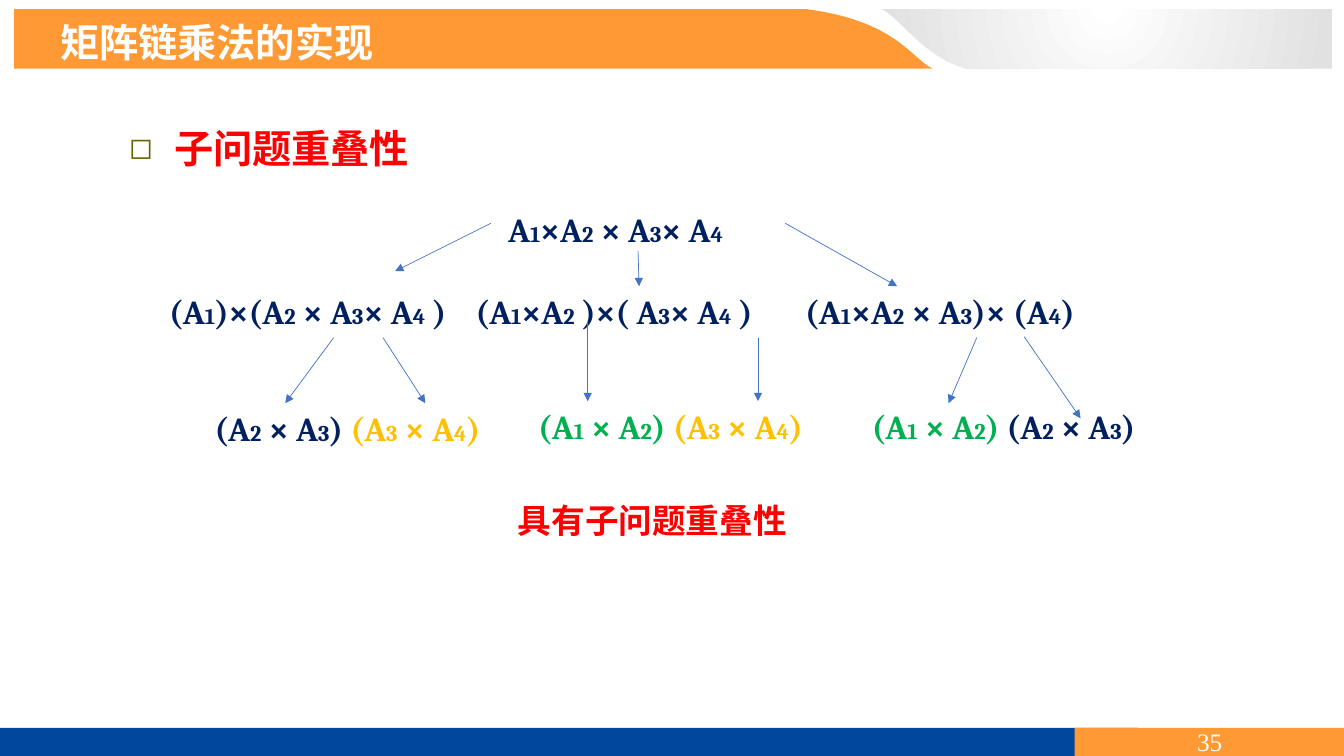
from itertools import groupby

from lxml import etree
from pptx import Presentation
from pptx.dml.color import RGBColor as RGB
from pptx.enum.shapes import MSO_CONNECTOR as LINK, MSO_SHAPE as SHAPE
from pptx.enum.text import MSO_ANCHOR as ANCHOR, PP_ALIGN as ALIGN
from pptx.oxml import parse_xml
from pptx.oxml.ns import nsdecls, qn
from pptx.util import Inches, Pt

HUE = {
    "orange": "FF9933", "blue": "00479D", "white": "FFFFFF", "gray": "E1E1E1",
    "navy": "002060", "red": "FF0000", "green": "00B050", "gold": "FFC000",
    "arrow": "4472C4", "olive": "666600",
}
HAN = "Noto Sans CJK SC"
CELL = Inches(0.1)  # the slide is a grid of 133.3 columns by 75 rows


def grid(*cells):
    return [round(n * CELL) for n in cells]


def write(shape, parts, size=24, small=None, font="Cambria", align=ALIGN.LEFT,
          bold=True, anchor=ANCHOR.TOP):
    """Fill shape with (text, hue) parts; digits take the small size, if given."""
    frame = shape.text_frame
    frame.word_wrap = True
    frame.vertical_anchor = anchor
    para = frame.paragraphs[0]
    para.alignment = align
    for words, hue in parts:
        for digit, chars in groupby(words, str.isdigit):
            run = para.add_run()
            run.text = "".join(chars)
            run.font.size = Pt(small if digit and small else size)
            run.font.bold = bold
            run.font.name = font
            run.font.color.rgb = RGB.from_string(HUE[hue])
            etree.SubElement(run.font._element, qn("a:ea"), typeface=font)
    return para


deck = Presentation()
deck.slide_width, deck.slide_height = grid(133.33, 75)
page = deck.slides.add_slide(deck.slide_layouts[6])
items = page.shapes

# Header bands: straight corners plus Bézier curves of four points
bands = [
    ("orange", [(1.4, 6.8), (1.4, 0.9)],
     [(80, 0.9), (88.9, 2.1), (90.3, 5.7), (92.5, 6.8)]),
    ("gray", [(132.2, 0.9), (132.2, 6.8)],
     [(95.9, 6.8), (91.8, 5.7), (89.6, 2.1), (87.5, 0.9)]),
]
STEPS = 32
for hue, ends, curve in bands:
    dots = [grid(*end) for end in ends]
    for step in range(STEPS + 1):
        t = step / STEPS
        mix = ((1 - t) ** 3, 3 * t * (1 - t) ** 2, 3 * t * t * (1 - t), t ** 3)
        dots.append(grid(*(sum(m * v for m, v in zip(mix, axis))
                           for axis in zip(*curve))))
    pen = items.build_freeform(*dots[0])
    pen.add_line_segments(dots[1:])
    band = pen.convert_to_shape()
    band.shadow.inherit = False
    band.line.fill.background()
    band.fill.solid()
    band.fill.fore_color.rgb = RGB.from_string(HUE[hue])

# The gray band glows from its top centre
glow = parse_xml(
    f'<a:gradFill {nsdecls("a")}><a:gsLst>'
    f'<a:gs pos="0"><a:srgbClr val="{HUE["white"]}"/></a:gs>'
    f'<a:gs pos="100000"><a:srgbClr val="{HUE["gray"]}"/></a:gs></a:gsLst>'
    '<a:path path="circle"><a:fillToRect l="50000" t="-80000" r="50000" b="180000"/>'
    '</a:path></a:gradFill>')
props = band._element.spPr
props.replace(props.find(qn("a:solidFill")), glow)

# Footer
for hue, left, width in [("blue", 0, 112.9), ("orange", 106.6, 26.8)]:
    bar = items.add_shape(SHAPE.RECTANGLE, *grid(left, 72.2, width, 2.8))
    bar.shadow.inherit = False
    bar.line.fill.background()
    bar.fill.solid()
    bar.fill.fore_color.rgb = RGB.from_string(HUE[hue])
write(bar, [("35", "white")], size=18, font="Times New Roman",
      align=ALIGN.CENTER, bold=False, anchor=ANCHOR.MIDDLE)

# Headings
title = items.add_textbox(*grid(5, 1.3, 68.4, 5.7))
write(title, [("矩阵链乘法的实现", "white")], size=28, font=HAN)

topic = items.add_textbox(*grid(11.8, 11.8, 77.2, 7.5))
para = write(topic, [("子问题重叠性", "red")], size=28, font=HAN)
rule = para._p.get_or_add_pPr()
dent = grid(4.5)[0]
rule.set("marL", str(dent))
rule.set("indent", str(-dent))
tint = etree.SubElement(rule, qn("a:buClr"))
etree.SubElement(tint, qn("a:srgbClr"), val=HUE["olive"])
etree.SubElement(rule, qn("a:buSzPct"), val="75000")
etree.SubElement(rule, qn("a:buFont"), typeface="DejaVu Sans")
etree.SubElement(rule, qn("a:buChar"), char="◻")

# Tree of products
root = items.add_textbox(*grid(48.7, 19.4, 29.2, 5.5))
root.text_frame.margin_left = grid(1.7)[0]
write(root, [("A1×A2 × A3× A4", "navy")], small=16).line_spacing = 1.2

splits = [
    (15.8, "(A1)×(A2 × A3× A4 )"),
    (46.2, "(A1×A2 )×( A3× A4 )"),
    (78.9, "(A1×A2 × A3)× (A4)"),
]
for left, words in splits:
    node = items.add_textbox(*grid(left, 28.4, 32, 5))
    write(node, [(words, "navy")], small=16)

pairs = {"A1 × A2": "green", "A2 × A3": "navy", "A3 × A4": "gold"}
leaves = [
    (20.3, 40, "A2 × A3", "A3 × A4"),
    (52.4, 39.8, "A1 × A2", "A3 × A4"),
    (85.5, 39.8, "A1 × A2", "A2 × A3"),
]
for left, top, one, two in leaves:
    leaf = items.add_textbox(*grid(left, top, 33.1, 5))
    write(leaf, [(f"({one}) ", pairs[one]), (f"({two})", pairs[two])], small=16)

# Arrows: start, end and the side of the root they leave from
arrows = [
    (48.7, 22.1, 39.2, 26.9, 1),
    (63.4, 24.9, 63.4, 28.4, 2),
    (78, 22.1, 89, 28.4, 3),
    (33.1, 33.5, 28.3, 40, None),
    (38, 33.5, 42.2, 40, None),
    (58.3, 31.9, 58.3, 39.8, None),
    (75.2, 33.5, 75.2, 39.8, None),
    (96.9, 33.5, 94.1, 40, None),
    (101.6, 33.4, 107.2, 41.5, None),
]
for *ends, side in arrows:
    link = items.add_connector(LINK.STRAIGHT, *grid(*ends))
    if side is not None:
        link.begin_connect(root, side)
    link.line.width = Pt(0.5)
    link.line.color.rgb = RGB.from_string(HUE["arrow"])
    props = link._element.spPr
    etree.SubElement(props.find(qn("a:ln")), qn("a:tailEnd"), type="triangle")
    etree.SubElement(props, qn("a:effectLst"))

result = items.add_textbox(*grid(50.4, 49.1, 33.1, 5))
write(result, [("具有子问题重叠性", "red")], font=HAN)

deck.save("out.pptx")
